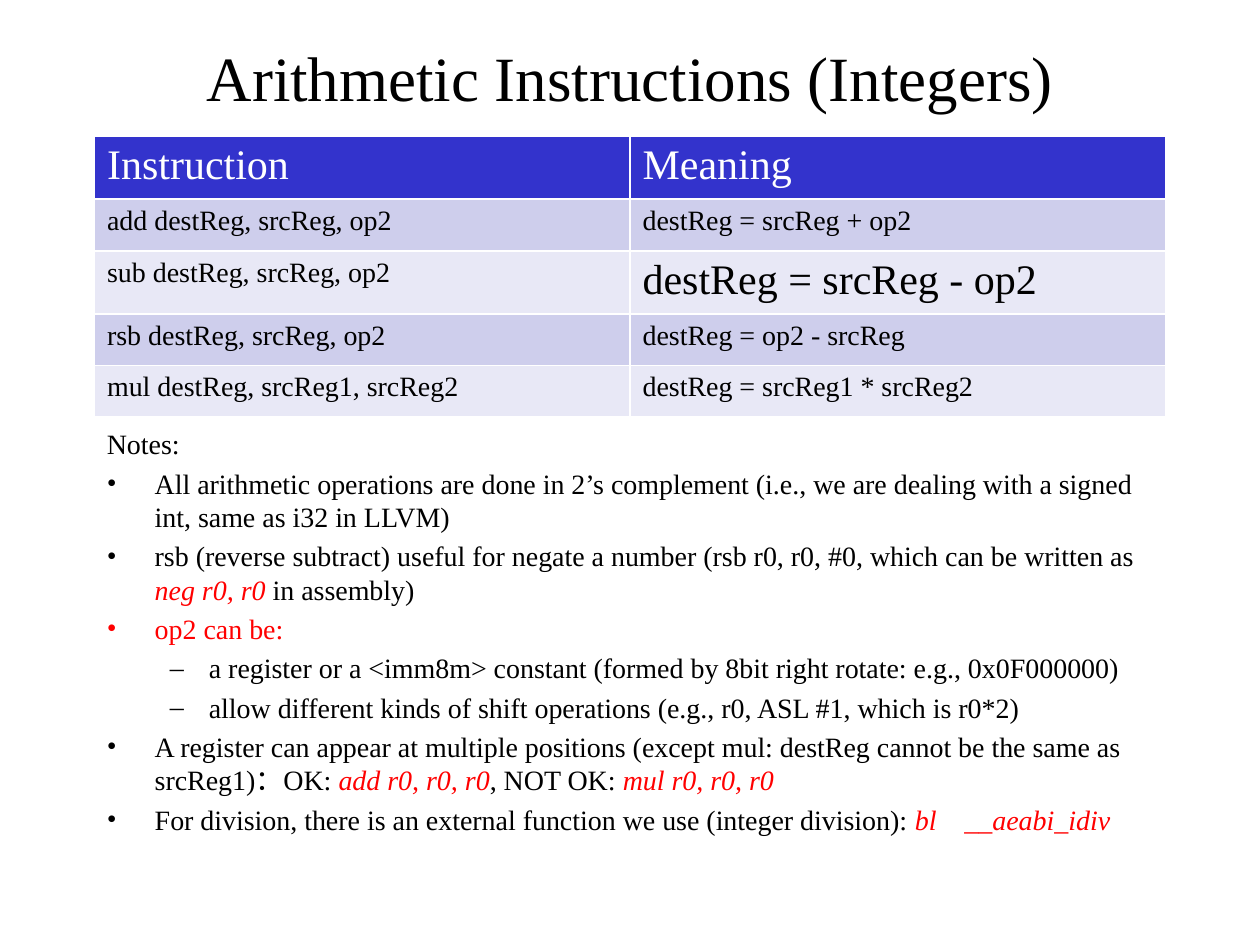
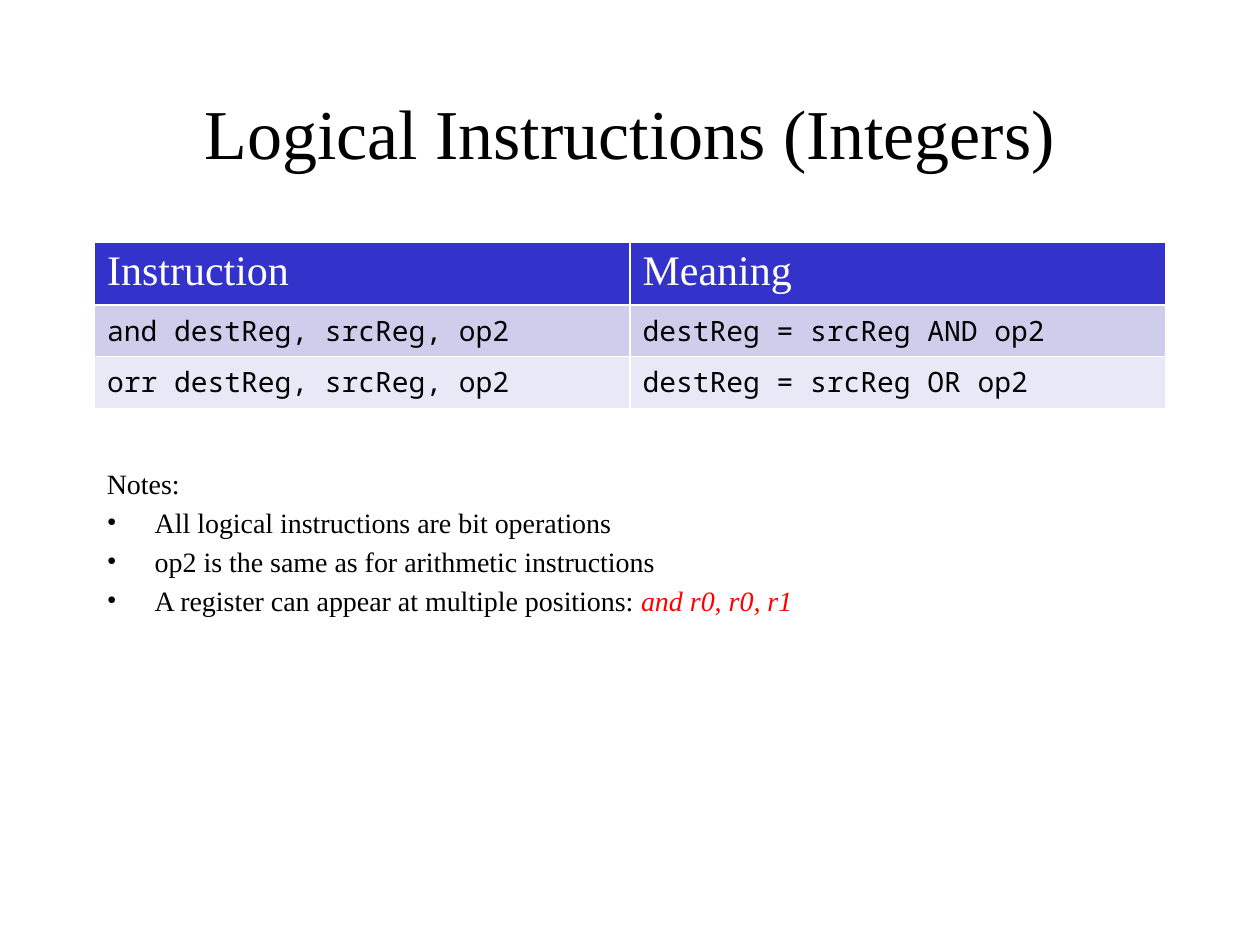
from lxml.etree import SubElement
from pptx import Presentation
from pptx.dml.color import RGBColor
from pptx.enum.text import MSO_ANCHOR, PP_ALIGN
from pptx.oxml.ns import qn
from pptx.util import Pt

PX = 9144  # 100 px to the inch
BLACK = RGBColor(0x00, 0x00, 0x00)
WHITE = RGBColor(0xFF, 0xFF, 0xFF)
RED = RGBColor(0xFF, 0x00, 0x00)
HEADER_BLUE = RGBColor(0x33, 0x33, 0xCC)
BANDS = [RGBColor(0xE8, 0xE8, 0xF6), RGBColor(0xCE, 0xCE, 0xEC)]
SERIF = "Times New Roman"
MONO = "Noto Sans Mono"
LEFT, WIDTH = 75, 850
ROW_HEIGHT = 41
HEADER = ("Instruction", "Meaning")

CODE = {"color": RED, "italic": True}
# Bullet sign, left margin and hanging indent of each note level
PLAIN, BULLET, DASH = (None, 0, 0), ("•", 38, 38), ("–", 81, 31)

SLIDES = [
    {
        "title": "Arithmetic Instructions (Integers)",
        "title_size": 36, "title_top": 36, "title_height": 50,
        "table_top": 108, "table_font": SERIF,
        "rows": [
            ("add destReg, srcReg, op2", "destReg = srcReg + op2"),
            ("sub destReg, srcReg, op2", "destReg = srcReg - op2"),
            ("rsb destReg, srcReg, op2", "destReg = op2 - srcReg"),
            ("mul destReg, srcReg1, srcReg2", "destReg = srcReg1 * srcReg2"),
        ],
        "large_cells": {(2, 1)},
        "notes_top": 334, "notes_height": 383,
        "notes": [
            (PLAIN, [("Notes:", {})]),
            (BULLET, [("All arithmetic operations are done in 2’s complement (i.e., we are "
                       "dealing with a signed int, same as i32 in LLVM)", {})]),
            (BULLET, [("rsb (reverse subtract) useful for negate a number (rsb r0, r0, #0, "
                       "which can be written as ", {}),
                      ("neg r0, r0 ", CODE), ("in assembly)", {})]),
            (BULLET, [("op2 can be:", {"color": RED})]),
            (DASH, [("a register or a <imm8m> constant (formed by 8bit right rotate: "
                     "e.g., 0x0F000000)", {})]),
            (DASH, [("allow different kinds of shift operations (e.g., r0, ASL #1, "
                     "which is r0*2)", {})]),
            (BULLET, [("A register can appear at multiple positions (except mul: destReg "
                       "cannot be the same as srcReg1)：OK: ", {}),
                      ("add r0, r0, r0", CODE), (", NOT OK: ", {}),
                      ("mul r0, r0, r0", CODE)]),
            (BULLET, [("For division, there is an external function we use "
                       "(integer division): ", {}),
                      ("bl    __aeabi_idiv", CODE)]),
        ],
    },
    {
        "title": "Logical Instructions (Integers)",
        "title_size": 40, "title_top": 67, "title_height": 75,
        "table_top": 192, "table_font": MONO,
        "rows": [
            ("and destReg, srcReg, op2", "destReg = srcReg AND op2"),
            ("orr destReg, srcReg, op2", "destReg = srcReg OR op2"),
        ],
        "large_cells": set(),
        "notes_top": 365, "notes_height": 303,
        "notes": [
            (PLAIN, [("Notes:", {})]),
            (BULLET, [("All logical instructions are bit operations", {})]),
            (BULLET, [("op2 is the same as for arithmetic instructions", {})]),
            (BULLET, [("A register can appear at multiple positions: ", {}),
                      ("and r0, r0, r1", CODE)]),
        ],
    },
]


def add_span(para, text, size=16, font=SERIF, color=BLACK, italic=False):
    span = para.add_run()
    span.text = text
    span.font.size = Pt(size)
    span.font.name = font
    span.font.color.rgb = color
    span.font.italic = italic


def add_borders(cell):
    """Draw a thin white line on all four sides of a table cell."""
    properties = cell._tc.get_or_add_tcPr()
    for side in ("lnL", "lnR", "lnT", "lnB"):
        line = SubElement(properties, qn(f"a:{side}"), w=str(Pt(1)))
        fill = SubElement(line, qn("a:solidFill"))
        SubElement(fill, qn("a:srgbClr"), val=str(WHITE))


deck = Presentation()
deck.slide_width = 1000 * PX
deck.slide_height = 750 * PX

for content in SLIDES:
    page = deck.slides.add_slide(deck.slide_layouts[6])

    title_box = page.shapes.add_textbox(LEFT * PX, content["title_top"] * PX,
                                        WIDTH * PX, content["title_height"] * PX)
    title_box.text_frame.word_wrap = True
    title_box.text_frame.vertical_anchor = MSO_ANCHOR.MIDDLE
    title_para = title_box.text_frame.paragraphs[0]
    title_para.alignment = PP_ALIGN.CENTER
    add_span(title_para, content["title"], size=content["title_size"])

    notes_box = page.shapes.add_textbox(LEFT * PX, content["notes_top"] * PX,
                                        WIDTH * PX, content["notes_height"] * PX)
    frame = notes_box.text_frame
    frame.word_wrap = True
    for index, ((sign, margin, hanging), spans) in enumerate(content["notes"]):
        para = frame.add_paragraph() if index else frame.paragraphs[0]
        para.level = 1 if sign == "–" else 0
        para.space_before = Pt(3.2)
        if sign:
            properties = para._p.get_or_add_pPr()
            properties.set("marL", str(margin * PX))
            properties.set("indent", str(-hanging * PX))
            SubElement(properties, qn("a:buFont"), typeface=SERIF)
            SubElement(properties, qn("a:buChar"), char=sign)
        for text, style in spans:
            add_span(para, text, **style)

    rows = [HEADER] + content["rows"]
    table = page.shapes.add_table(len(rows), 2, LEFT * PX, content["table_top"] * PX,
                                  WIDTH * PX, len(rows) * ROW_HEIGHT * PX).table
    for row_index, row in enumerate(rows):
        for column_index, text in enumerate(row):
            cell = table.cell(row_index, column_index)
            add_borders(cell)
            cell.fill.solid()
            para = cell.text_frame.paragraphs[0]
            if row_index == 0:
                cell.fill.fore_color.rgb = HEADER_BLUE
                add_span(para, text, size=24, color=WHITE)
            else:
                cell.fill.fore_color.rgb = BANDS[row_index % 2]
                large = (row_index, column_index) in content["large_cells"]
                add_span(para, text, size=24 if large else 16, font=content["table_font"])

deck.save("out.pptx")
